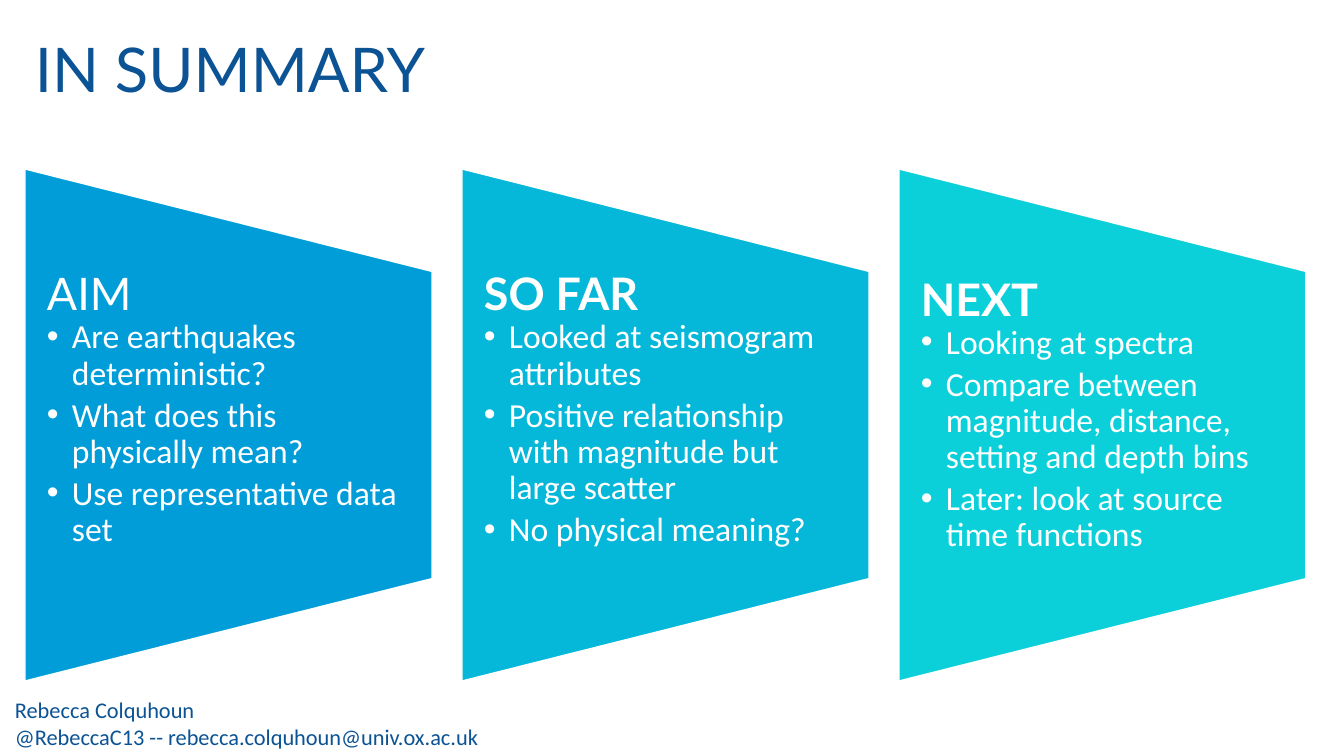
from lxml.etree import SubElement
from pptx import Presentation
from pptx.dml.color import RGBColor
from pptx.enum.shapes import MSO_SHAPE
from pptx.enum.text import MSO_ANCHOR
from pptx.oxml.ns import qn
from pptx.util import Pt

TITLE = "IN SUMMARY"
FOOTER = ["Rebecca Colquhoun", "@RebeccaC13 -- rebecca.colquhoun@univ.ox.ac.uk"]
PANELS = [
    dict(heading="AIM", fill="009DD9", bold=False, spacing=0.9, points=[
        "Are earthquakes deterministic?",
        "What does this physically mean?",
        "Use representative data set"]),
    dict(heading="SO FAR", fill="05B7D9", bold=True, spacing=0.9, points=[
        "Looked at seismogram attributes",
        "Positive relationship with magnitude but large scatter",
        "No physical meaning?"]),
    dict(heading="NEXT", fill="0BD0D9", bold=True, spacing=1.0, points=[
        "Looking at spectra",
        "Compare between magnitude, distance, setting and depth bins",
        "Later: look at source time functions"]),
]
NAVY, WHITE = "0B5394", "FFFFFF"

SLIDE_W, SLIDE_H = 1344, 756
PANEL_LEFT, PANEL_PITCH = 25, 437
PANEL_W, PANEL_H, PANEL_MIDDLE = 407, 512, 425
PANEL_TEXT_H, PANEL_INSET, BULLET_INDENT = 307, 22, 25


def px(length):
    """Turn px, at 100.8 to the inch, into EMU."""
    return round(length * 914400 / 100.8)


def color(hex_string):
    return RGBColor.from_string(hex_string)


def add_frame(slide, left, top, width, height, inset=None, anchor=MSO_ANCHOR.TOP):
    frame = slide.shapes.add_textbox(px(left), px(top), px(width), px(height)).text_frame
    frame.word_wrap = True
    frame.vertical_anchor = anchor
    if inset is not None:
        frame.margin_left = frame.margin_right = px(inset)
        frame.margin_top = frame.margin_bottom = 0
    return frame


def write(frame, text, size, ink, font="Calibri", bold=False, spacing=1.0,
          after=0, bullet=False):
    """Add one paragraph, using the empty first one if it is still free."""
    first = frame.paragraphs[0]
    paragraph = frame.add_paragraph() if first.runs else first
    paragraph.line_spacing = spacing
    paragraph.space_after = Pt(after)
    if bullet:
        properties = paragraph._p.get_or_add_pPr()
        properties.set("marL", str(px(BULLET_INDENT)))
        properties.set("indent", str(-px(BULLET_INDENT)))
        SubElement(properties, qn("a:buFont"), typeface="Arial")
        SubElement(properties, qn("a:buChar"), char="•")
    run = paragraph.add_run()
    run.text = text
    run.font.size = Pt(size)
    run.font.name = font
    run.font.bold = bold
    run.font.color.rgb = color(ink)


def add_panel(slide, left, panel):
    # The preset is widest at its top, so a 270 degree turn puts that edge on the left.
    turned_left = left + (PANEL_W - PANEL_H) / 2
    turned_top = PANEL_MIDDLE - PANEL_W / 2
    trapezoid = slide.shapes.add_shape(
        MSO_SHAPE.FLOWCHART_MANUAL_OPERATION,
        px(turned_left), px(turned_top), px(PANEL_H), px(PANEL_W))
    trapezoid.rotation = 270
    trapezoid.shadow.inherit = False
    trapezoid.fill.solid()
    trapezoid.fill.fore_color.rgb = color(panel["fill"])
    trapezoid.line.color.rgb = color(WHITE)
    trapezoid.line.width = Pt(1)

    body = add_frame(slide, left, PANEL_MIDDLE - PANEL_TEXT_H / 2,
                     PANEL_W, PANEL_TEXT_H, inset=PANEL_INSET)
    write(body, panel["heading"], 32, WHITE, font="Lato",
          bold=panel["bold"], spacing=panel["spacing"])
    for point in panel["points"]:
        write(body, point, 24, WHITE, spacing=0.9, after=4, bullet=True)


def main():
    deck = Presentation()
    deck.slide_width, deck.slide_height = px(SLIDE_W), px(SLIDE_H)
    slide = deck.slides.add_slide(deck.slide_layouts[6])

    footer = add_frame(slide, 5, 691, 503, 65)
    for line in FOOTER:
        write(footer, line, 16, NAVY)

    title = add_frame(slide, 25, 0, 1281, 146, anchor=MSO_ANCHOR.MIDDLE)
    write(title, TITLE, 44, NAVY, font="Lato", spacing=0.9)

    for column, panel in enumerate(PANELS):
        add_panel(slide, PANEL_LEFT + column * PANEL_PITCH, panel)

    deck.save("out.pptx")


if __name__ == "__main__":
    main()
